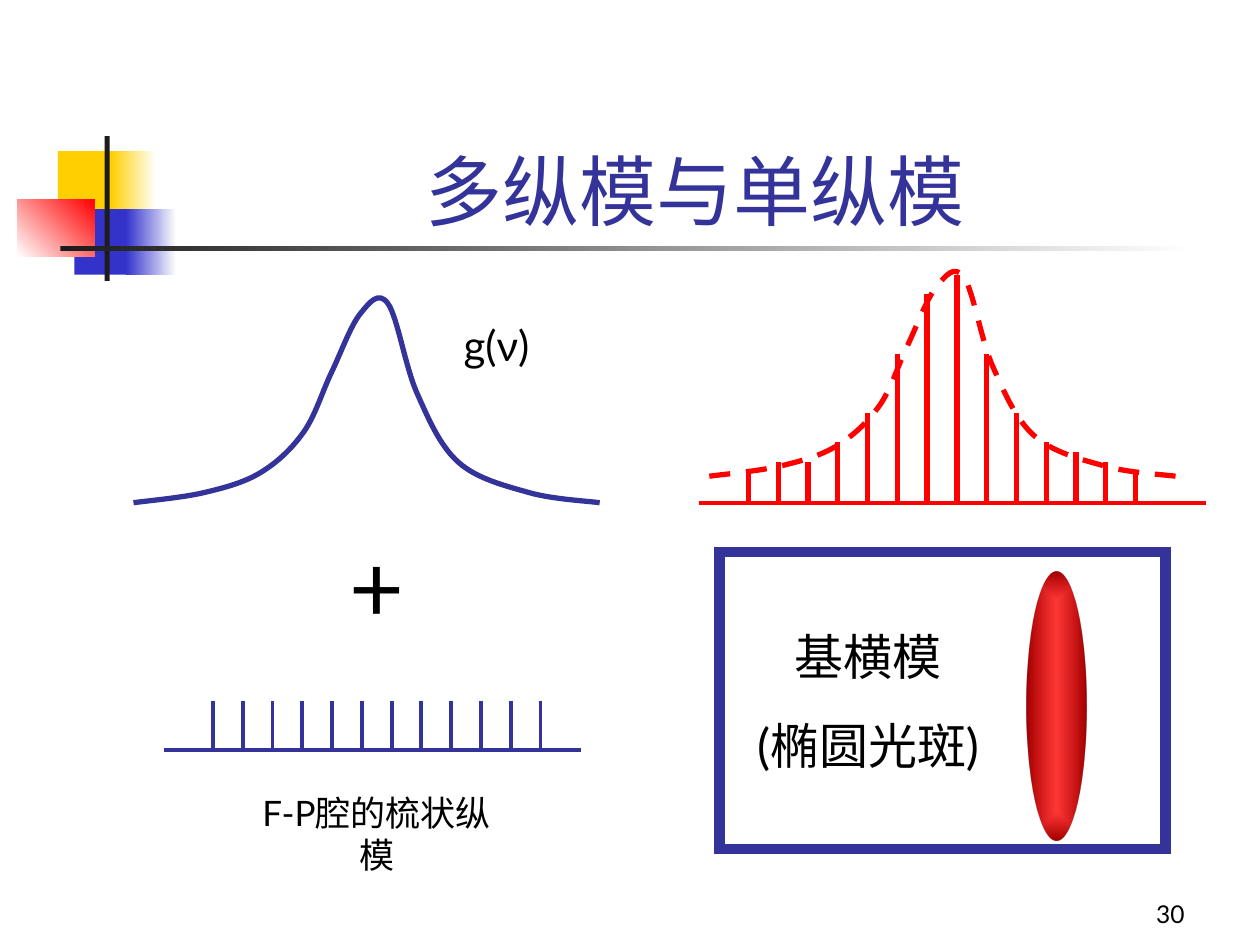
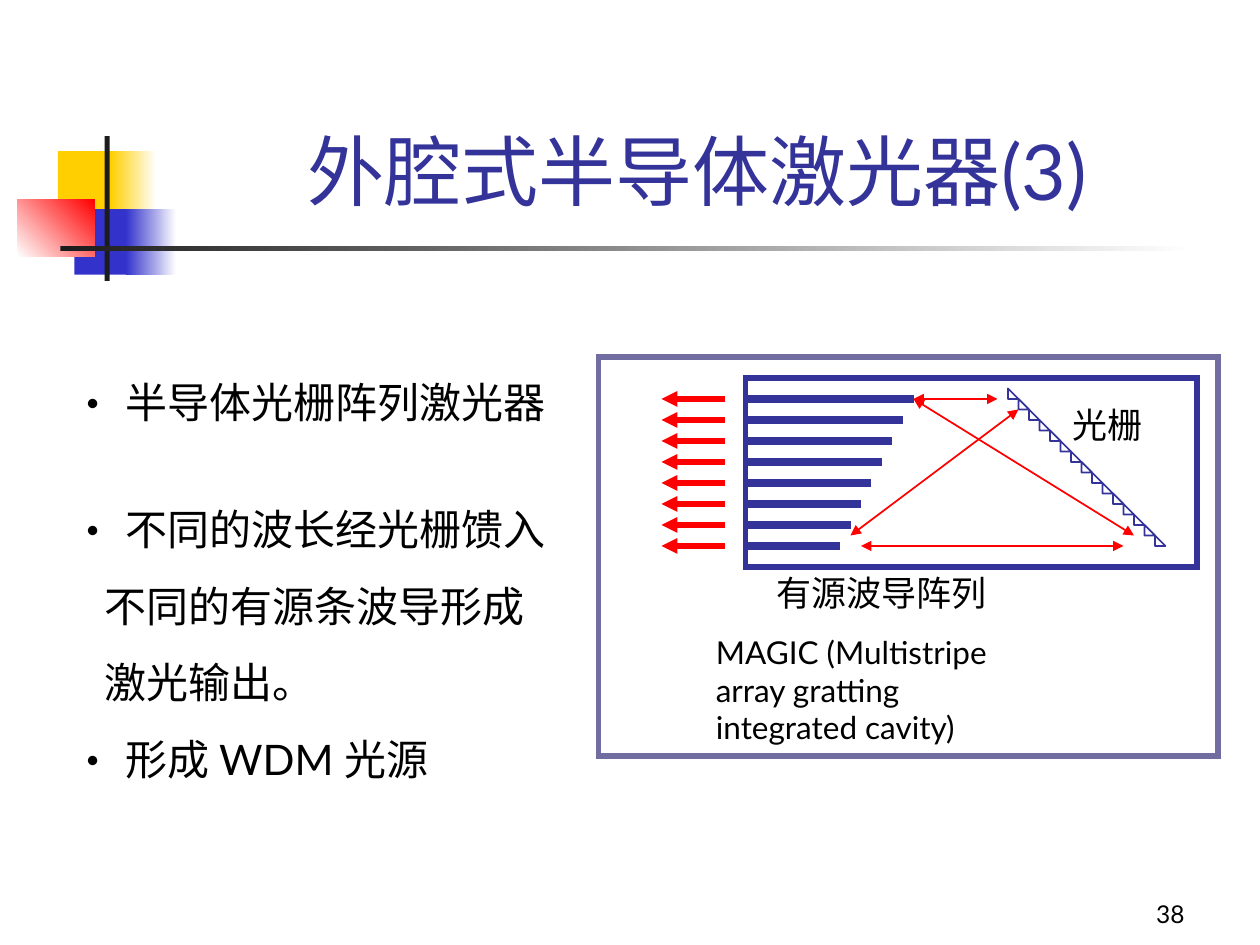
from lxml import etree
from pptx import Presentation
from pptx.dml.color import RGBColor
from pptx.enum import dml, shapes, text
from pptx.oxml import ns
from pptx.util import Inches, Pt

FONT = "Lato"
BLACK = RGBColor(0x00, 0x00, 0x00)
WHITE = RGBColor(0xFF, 0xFF, 0xFF)
CHARCOAL = RGBColor(0x1C, 0x1C, 0x1C)
NAVY = RGBColor(0x33, 0x33, 0x99)
BLUE = RGBColor(0x33, 0x33, 0xCC)
YELLOW = RGBColor(0xFF, 0xCF, 0x01)
RED = RGBColor(0xFF, 0x00, 0x00)
DARK_RED = RGBColor(0xA1, 0x00, 0x00)
LILAC = RGBColor(0x71, 0x6D, 0xA1)

LEFT, CENTER, RIGHT = text.PP_ALIGN.LEFT, text.PP_ALIGN.CENTER, text.PP_ALIGN.RIGHT
TOP, BOTTOM = text.MSO_ANCHOR.TOP, text.MSO_ANCHOR.BOTTOM
RECTANGLE = shapes.MSO_SHAPE.RECTANGLE

# Master ornaments: box, start colour, end colour (None = solid), angle
ORNAMENTS = [
    ((0.46, 1.2, 0.48, 0.52), YELLOW, None, 0),
    ((0.88, 1.2, 0.36, 0.52), YELLOW, WHITE, 0),
    ((0.59, 1.66, 0.46, 0.52), BLUE, None, 0),
    ((1, 1.66, 0.4, 0.52), BLUE, WHITE, 0),
    ((0.14, 1.58, 0.61, 0.46), WHITE, RED, 45),
    ((0.83, 1.08, 0.04, 1.15), CHARCOAL, None, 0),
    ((0.48, 1.95, 9, 0.04), CHARCOAL, WHITE, 0),
]

# Gain curve knots, relative to the top left of its box
GAIN_KNOTS = [
    (0, 1.68), (0.56, 1.6), (1.01, 1.44), (1.35, 1.12), (1.57, 0.65), (1.8, 0.18),
    (2.02, 0.1), (2.25, 0.81), (2.58, 1.36), (3.14, 1.6), (3.7, 1.68),
]
MODE_PITCH = 2.6 / 11
MODE_HEIGHTS = [0.24, 0.32, 0.32, 0.48, 0.71, 1.18, 1.66,
                1.81, 1.18, 0.71, 0.48, 0.4, 0.32, 0.24]
UNIT = 1 / 12  # grid of the waveguide drawing, one grating tooth


def add_xml(parent, tag, **attributes):
    return etree.SubElement(parent, ns.qn(tag), attributes)


def style_para(para, size, color=BLACK, align=LEFT, before=0):
    para.alignment = align
    para.space_before = Pt(before)
    para.font.name = FONT
    para.font.size = Pt(size)
    para.font.color.rgb = color


def write(frame, content, anchor=TOP, **style):
    """Put one paragraph into an empty text frame."""
    frame.word_wrap = True
    frame.auto_size = (text.MSO_AUTO_SIZE.SHAPE_TO_FIT_TEXT if anchor == TOP
                       else text.MSO_AUTO_SIZE.NONE)
    frame.vertical_anchor = anchor
    para = frame.paragraphs[0]
    para.text = content
    style_para(para, **style)


def add_label(page, box, content, **style):
    frame = page.shapes.add_textbox(*map(Inches, box)).text_frame
    write(frame, content, **style)
    return frame


def add_para(frame, content, **style):
    para = frame.add_paragraph()
    para.text = content
    style_para(para, **style)


def add_preset(page, preset, box, fill=None, end_fill=None, angle=0, line=None, width=1):
    shape = page.shapes.add_shape(preset, *map(Inches, box))
    shape.shadow.inherit = False
    if end_fill is not None:
        shape.fill.gradient()
        shape.fill.gradient_angle = angle
        for stop, color in zip(shape.fill.gradient_stops, (fill, end_fill)):
            stop.color.rgb = color
    elif fill is not None:
        shape.fill.solid()
        shape.fill.fore_color.rgb = fill
    else:
        shape.fill.background()
    if line is None:
        shape.line.fill.background()
    else:
        shape.line.color.rgb = line
        shape.line.width = Pt(width)
    return shape


def add_frame(page, box, color, width):
    frame = add_preset(page, RECTANGLE, box, line=color, width=width)
    add_xml(frame.line._get_or_add_ln(), "a:miter", lim="800000")


def add_line(page, start, end, color, width, heads=()):
    """Straight line; heads lists the ends ("head", "tail") with an arrowhead."""
    line = page.shapes.add_connector(shapes.MSO_CONNECTOR.STRAIGHT,
                                     *map(Inches, (*start, *end)))
    line.line.color.rgb = color
    line.line.width = Pt(width)
    for head in heads:
        add_xml(line.line._get_or_add_ln(), f"a:{head}End", type="triangle")
    add_xml(line._element.spPr, "a:effectLst")


def bezier_points(knots):
    """Two controls and an end point for each span of a Catmull-Rom curve."""
    padded = [knots[0], *knots, knots[-1]]
    points = []
    for before, start, end, after in zip(padded, padded[1:], padded[2:], padded[3:]):
        points.append(tuple(s + (e - b) / 6 for b, s, e in zip(before, start, end)))
        points.append(tuple(e - (a - s) / 6 for s, e, a in zip(start, end, after)))
        points.append(end)
    return points


def draw_gain_curve(page, left, top, color, dash=None):
    start, *points = [(Inches(left + x), Inches(top + y))
                      for x, y in [GAIN_KNOTS[0], *bezier_points(GAIN_KNOTS)]]
    builder = page.shapes.build_freeform(*start)
    builder.add_line_segments(points, close=False)
    curve = builder.convert_to_shape()
    segments = list(curve._element.iter(ns.qn("a:lnTo")))
    outline = segments[0].getparent()
    for index in range(0, len(segments), 3):
        bend = add_xml(outline, "a:cubicBezTo")
        for segment in segments[index:index + 3]:
            bend.append(segment[0])
            outline.remove(segment)
    curve.shadow.inherit = False
    curve.fill.background()
    curve.line.color.rgb = color
    curve.line.width = Pt(3)
    if dash is not None:
        curve.line.dash_style = dash


def draw_modes(page, left, base, width, heights, color, weight):
    """Baseline with equally spaced mode lines standing on it."""
    add_line(page, (left, base), (left + width, base), color, 2.25)
    for index, height in enumerate(heights):
        x = left + 0.39 + index * MODE_PITCH
        add_line(page, (x, base - height), (x, base), color, weight)


def draw_spot_panel(page, left, top):
    spot = add_preset(page, shapes.MSO_SHAPE.OVAL, (left + 2.44, top + 0.16, 0.47, 2.13),
                      fill=RED, end_fill=DARK_RED)
    gradient = spot._element.spPr.find(ns.qn("a:gradFill"))
    add_xml(gradient.find(".//" + ns.qn("a:srgbClr")), "a:alpha", val="78000")
    gradient.remove(gradient.find(ns.qn("a:lin")))
    center = add_xml(gradient, "a:path", path="rect")
    add_xml(center, "a:fillToRect", l="50000", t="50000", r="50000", b="50000")
    frame = add_label(page, (left + 0.08, top + 0.54, 2.2, 1.28), "基横模",
                      size=28, align=CENTER)
    add_para(frame, "(椭圆光斑)", size=28, align=CENTER, before=17.5)
    add_frame(page, (left, top, 3.54, 2.36), NAVY, 6)


def draw_magic_panel(page, left, top):
    """Waveguide array and grating inside the outer frame, on the unit grid."""
    def at(column, row):
        return left + column * UNIT, top + row * UNIT

    for tooth in range(15):
        add_preset(page, shapes.MSO_SHAPE.RIGHT_TRIANGLE,
                   (*at(39 + tooth, 3 + tooth), UNIT, UNIT), line=NAVY)
    for stripe in range(8):
        row = 4 + 2 * stripe
        add_line(page, at(14, row), at(30 - stripe, row), NAVY, 4.5)
        add_line(page, at(12, row), at(6, row), RED, 3, heads=["tail"])
    rays = [((30, 4), (38, 4)), ((30, 4), (51, 17)),
            ((25, 18), (50, 18)), ((24, 17), (40, 5))]
    for start, end in rays:
        add_line(page, at(*start), at(*end), RED, 1, heads=["head", "tail"])
    frame = add_label(page, (*at(10, 19.8), 2.83, 1.49), "有源波导阵列",
                      size=20, align=CENTER)
    add_para(frame, "MAGIC (Multistripe array gratting integrated cavity)",
             size=18, before=11.2)
    add_label(page, (*at(43, 3.8), 0.92, 0.44), "光栅", size=20, align=CENTER)
    add_frame(page, (left, top, 59 * UNIT, 38 * UNIT), LILAC, 3)
    add_frame(page, (*at(14, 2), 43 * UNIT, 18 * UNIT), NAVY, 3)


def indent(para, margin, bullet=False):
    properties = para._p.get_or_add_pPr()
    properties.set("marL", str(Inches(margin)))
    properties.set("indent", str(-Inches(margin) if bullet else 0))
    if bullet:
        color = add_xml(properties, "a:buClr")
        add_xml(color, "a:srgbClr", val=str(BLACK))
        add_xml(properties, "a:buSzPct", val="60000")
        add_xml(properties, "a:buFont", typeface=FONT)
        add_xml(properties, "a:buChar", char="•")


def write_points(page, box):
    lines = [("半导体光栅阵列激光器", True, 0), ("不同的波长经光栅馈入", True, 43.8),
             ("不同的有源条波导形成", False, 15), ("激光输出。", False, 15),
             ("形成 WDM 光源", True, 15)]
    frame = page.shapes.add_textbox(*map(Inches, box)).text_frame
    frame.word_wrap = True
    for index, (content, bullet, before) in enumerate(lines):
        para = frame.add_paragraph() if index else frame.paragraphs[0]
        para.text = content
        indent(para, 0.32 if bullet else 0.15, bullet)
        style_para(para, size=24, before=before)


def decorate_master(deck, page):
    """Draw the ornaments and move them behind everything on the master."""
    tree = deck.slide_master.shapes._spTree
    for index, (box, fill, end_fill, angle) in enumerate(ORNAMENTS):
        element = add_preset(page, RECTANGLE, box, fill, end_fill, angle)._element
        element.nvSpPr.cNvPr.set("id", str(100 + index))
        tree.insert(2 + index, element)


def add_page(deck, title, title_box, number):
    page = deck.slides.add_slide(deck.slide_layouts[5])
    heading = page.shapes.title
    heading.left, heading.top, heading.width, heading.height = map(Inches, title_box)
    write(heading.text_frame, title, anchor=BOTTOM, size=44, color=NAVY, align=CENTER)
    add_label(page, (7.42, 6.92, 2.08, 0.5), number, anchor=BOTTOM, size=14, align=RIGHT)
    return page


def add_modes_page(deck):
    page = add_page(deck, "多纵模与单纵模", (1.26, 0.67, 8.52, 1.25), "30")
    draw_gain_curve(page, 1.06, 2.31, NAVY)
    draw_modes(page, 1.3, 5.95, 3.31, [0.39] * 12, NAVY, 2.25)
    add_label(page, (2.56, 4.14, 0.87, 1), "+", size=54, align=CENTER)
    draw_gain_curve(page, 5.63, 2.1, RED, dash=dml.MSO_LINE.DASH)
    draw_modes(page, 5.55, 3.99, 4.02, MODE_HEIGHTS, RED, 3)
    draw_spot_panel(page, 5.71, 4.38)
    add_label(page, (3.43, 2.49, 1.02, 0.5), "g(ν)", size=24, align=CENTER)
    add_label(page, (1.85, 6.23, 2.28, 0.77), "F-P腔的梳状纵模", size=20, align=CENTER)
    return page


def add_cavity_page(deck):
    page = add_page(deck, "外腔式半导体激光器(3)", (2, 1, 7.07, 0.76), "38")
    draw_magic_panel(page, 4.75, 34 * UNIT)
    write_points(page, (0.58, 2.94, 3.92, 2.94))


def main():
    deck = Presentation()
    deck.slide_width, deck.slide_height = Inches(10), Inches(7.5)
    decorate_master(deck, add_modes_page(deck))
    add_cavity_page(deck)
    deck.save("out.pptx")


if __name__ == "__main__":
    main()
